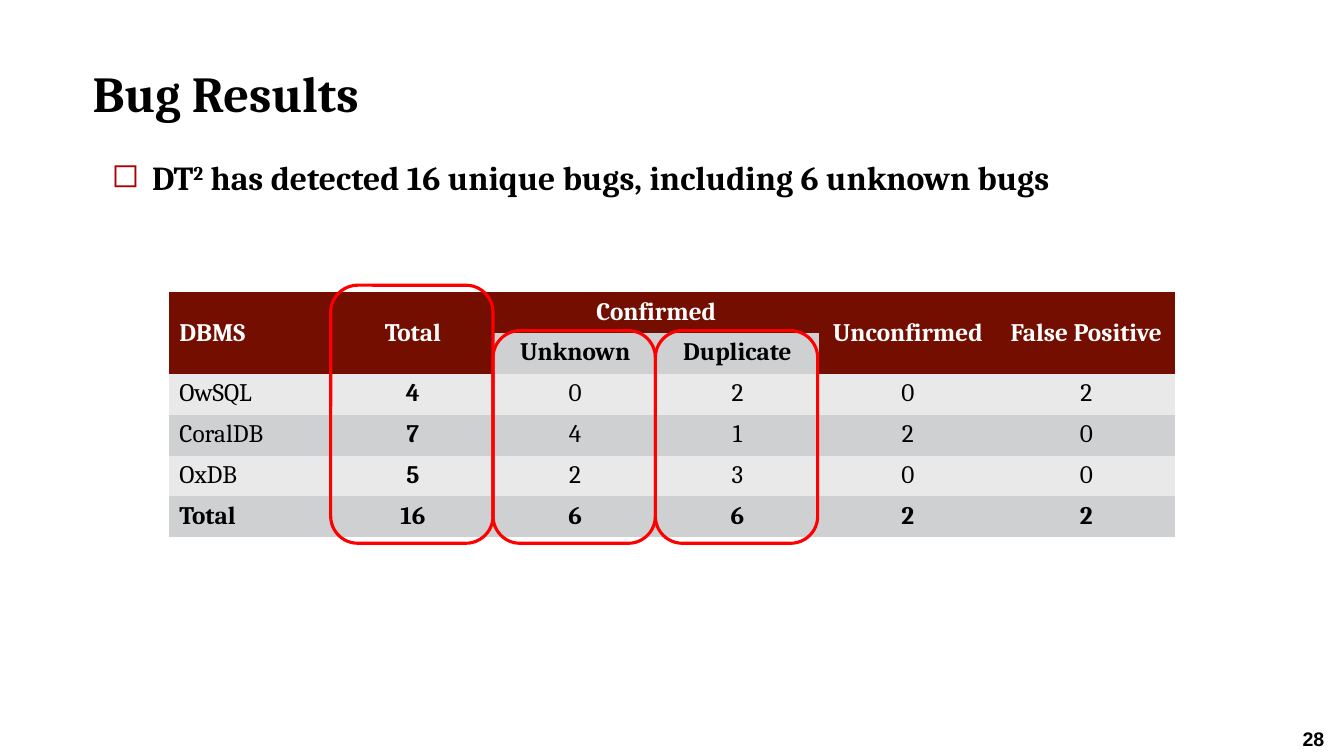
"""Build the "Bug Results" slide with its summary table and highlighted columns."""
from lxml import etree
from pptx import Presentation
from pptx.dml.color import RGBColor
from pptx.enum.shapes import MSO_SHAPE
from pptx.enum.text import MSO_ANCHOR, PP_ALIGN
from pptx.oxml.ns import qn
from pptx.util import Inches, Pt

ROUNDED = MSO_SHAPE.ROUNDED_RECTANGLE
TOP, MIDDLE, BOTTOM = MSO_ANCHOR.TOP, MSO_ANCHOR.MIDDLE, MSO_ANCHOR.BOTTOM
LEFT, CENTER = PP_ALIGN.LEFT, PP_ALIGN.CENTER

BLACK = RGBColor(0x00, 0x00, 0x00)
WHITE = RGBColor(0xFF, 0xFF, 0xFF)
MAROON = RGBColor(0x73, 0x0E, 0x00)
DARK_BAND = RGBColor(0xCF, 0xD0, 0xD2)
LIGHT_BAND = RGBColor(0xE9, 0xE9, 0xEA)
RED = RGBColor(0xFF, 0x00, 0x00)
BULLET_COLOR = "AD0101"
NO_GRID_STYLE = "{2D5ABB26-0587-4C30-8999-92F81FD0307C}"


def add_run(paragraph, text, size, color=BLACK, bold=True, face="Cambria"):
    run = paragraph.add_run()
    run.text = text
    formats = {"name": face, "size": Pt(size), "bold": bold}
    for attribute, value in formats.items():
        setattr(run.font, attribute, value)
    run.font.color.rgb = color
    return run


def add_text_frame(box, anchor=TOP):
    frame = slide.shapes.add_textbox(*map(Inches, box)).text_frame
    frame.word_wrap = True
    frame.vertical_anchor = anchor
    return frame.paragraphs[0]


prs = Presentation()
prs.slide_width, prs.slide_height = Inches(13.33), Inches(7.5)
slide = prs.slides.add_slide(prs.slide_layouts[6])

page_number = add_text_frame((12.82, 7.16, 0.48, 0.34))
add_run(page_number, "28", 14, face="Arial")

finding = add_text_frame((1.01, 1.51, 11.31, 0.5))
finding.space_before = Pt(16)
finding_format = finding._p.get_or_add_pPr()
finding_format.set("marL", str(Inches(0.4)))
finding_format.set("indent", str(Inches(-0.4)))
bullet_color = etree.SubElement(finding_format, qn("a:buClr"))
etree.SubElement(bullet_color, qn("a:srgbClr"), val=BULLET_COLOR)
etree.SubElement(finding_format, qn("a:buChar"), char="◻")
add_run(finding, "DT", 24)
exponent = add_run(finding, "2", 24)
exponent._r.get_or_add_rPr().set("baseline", "30000")
add_run(finding, " has detected 16 unique bugs, including 6 unknown bugs", 24)

title = add_text_frame((0.82, 0.34, 11.84, 0.93), BOTTOM)
title.line_spacing = Pt(46.7)
add_run(title, "Bug Results", 36)

ROWS = [
    ["DBMS", "Total", "Confirmed", "", "Unconfirmed", "False Positive"],
    ["", "", "Unknown", "Duplicate", "", ""],
    ["OwSQL", "4", "0", "2", "0", "2"],
    ["CoralDB", "7", "4", "1", "2", "0"],
    ["OxDB", "5", "2", "3", "0", "0"],
    ["Total", "16", "6", "6", "2", "2"],
]
COLUMN_WIDTHS = [1.61] * 4 + [1.77] * 2
TALL_HEADERS = (0, 1, 4, 5)
TOTAL_ROW = len(ROWS) - 1

results_frame = slide.shapes.add_table(
    len(ROWS), len(COLUMN_WIDTHS),
    Inches(1.68), Inches(2.9), Inches(9.98), Inches(2.43))
results = results_frame.table
results.first_row = False
results.horz_banding = False
results._tbl.tblPr.find(qn("a:tableStyleId")).text = NO_GRID_STYLE
for column, width in zip(results.columns, COLUMN_WIDTHS):
    column.width = Inches(width)

for r, row in enumerate(ROWS):
    for c, text in enumerate(row):
        cell = results.cell(r, c)
        in_header = r == 0 or (r == 1 and c in TALL_HEADERS)
        band = DARK_BAND if r % 2 else LIGHT_BAND
        cell.fill.solid()
        cell.fill.fore_color.rgb = MAROON if in_header else band
        cell.vertical_anchor = MIDDLE if r == 0 and c in TALL_HEADERS else TOP
        entry = cell.text_frame.paragraphs[0]
        entry.alignment = CENTER if c else LEFT
        if text:
            add_run(entry, text, 18, WHITE if in_header else BLACK,
                    bold=r < 2 or r == TOTAL_ROW or c == 1)

for c in TALL_HEADERS:
    results.cell(0, c).merge(results.cell(1, c))
results.cell(0, 2).merge(results.cell(0, 3))

HIGHLIGHT_BOTTOM = 5.39
for left, top in [(4.89, 3.28), (6.5, 3.28), (3.28, 2.83)]:
    highlight = slide.shapes.add_shape(
        ROUNDED, Inches(left), Inches(top),
        Inches(1.61), Inches(HIGHLIGHT_BOTTOM - top))
    highlight.shadow.inherit = False
    highlight.fill.background()
    highlight.line.color.rgb = RED
    highlight.line.width = Pt(2.25)

prs.save("out.pptx")
